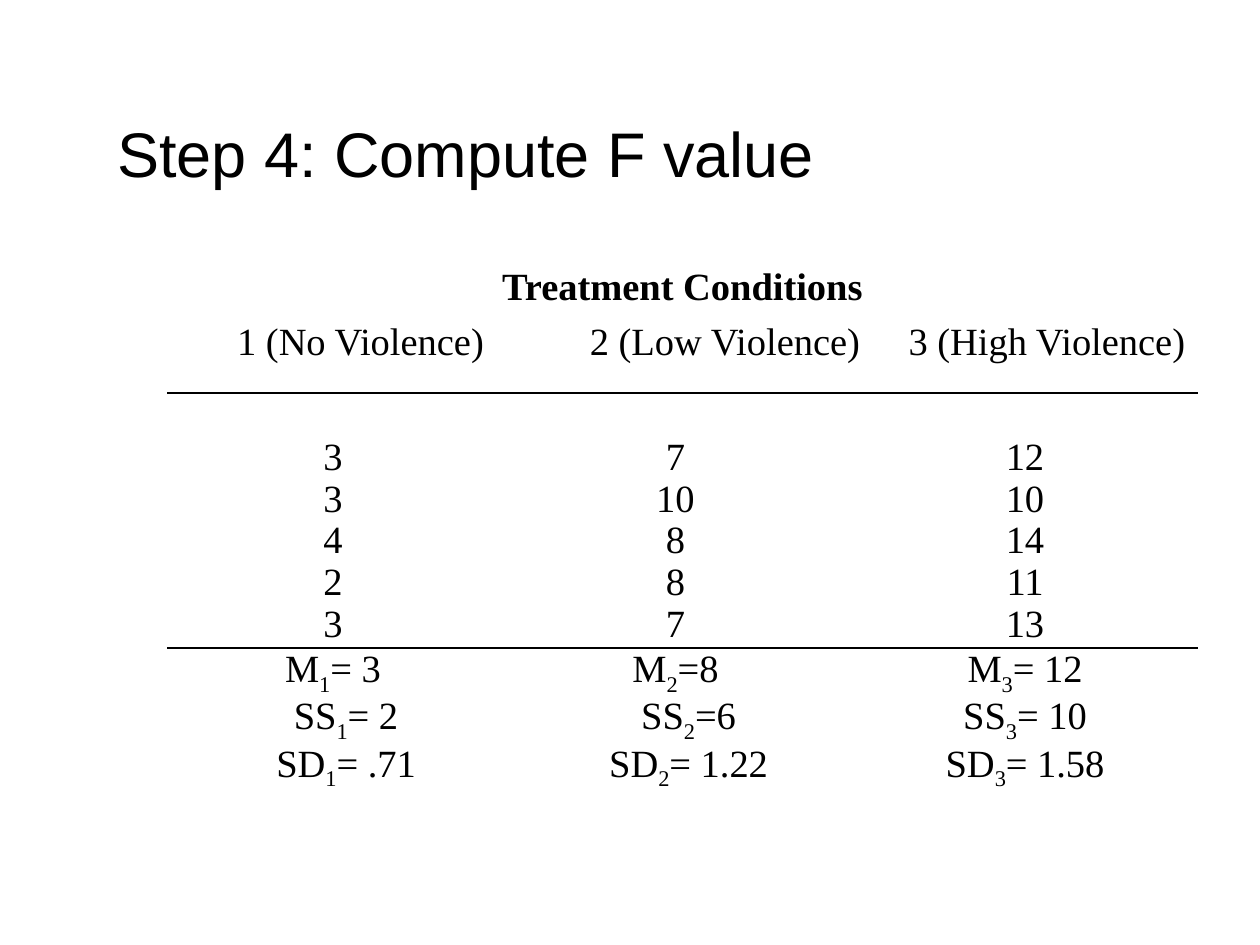
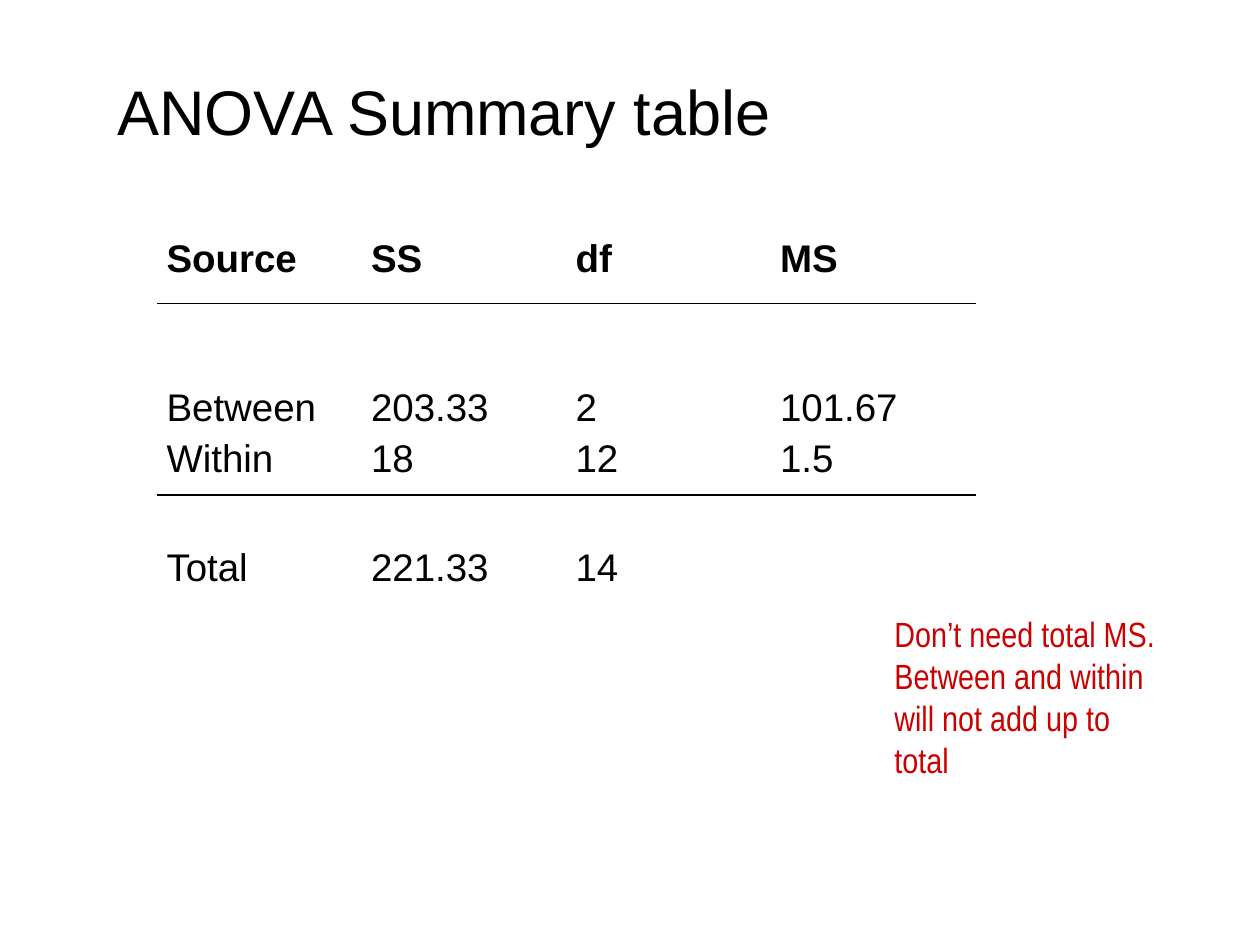
from pptx import Presentation
from pptx.dml.color import RGBColor
from pptx.enum.text import MSO_ANCHOR as Anchor, PP_ALIGN as Align
from pptx.oxml import parse_xml
from pptx.oxml.ns import nsdecls
from pptx.util import Pt

# Content: "|" encloses a subscript
CONDITIONS_TITLE = "Step 4: Compute F value"
HEADING = ["Treatment Conditions"]
CONDITIONS = ["1 (No Violence)", "2 (Low Violence)", "3 (High Violence)"]
SCORES = [
    ["3", "7", "12"],
    ["3", "10", "10"],
    ["4", "8", "14"],
    ["2", "8", "11"],
    ["3", "7", "13"],
]
MEANS = ["M|1|= 3", "M|2|=8", "M|3|= 12"]
SPREADS = [
    ["SS|1|= 2", "SS|2|=6", "SS|3|= 10"],
    ["SD|1|= .71", "SD|2|= 1.22", "SD|3|= 1.58"],
]

ANOVA_TITLE = "ANOVA Summary table"
ANOVA_ROWS = [
    ["Source", "SS", "df", "MS"],
    [""] * 4,
    ["Between", "203.33", "2", "101.67"],
    ["Within", "18", "12", "1.5"],
    [""] * 4,
    ["Total", "221.33", "14", ""],
]
NOTE = "Don’t need total MS. Between and within will not add up to total"

# Shared style
COLORS = {"text": "000000", "paper": "FFFFFF", "rule": "000000", "note": "CC0000"}
SANS, NARROW, SERIF = "Arial", "Arial Narrow", "Times New Roman"
CELL_SIZE = 22

# Layout of the conditions table: columns covered by each cell of a row
CONDITION_WIDTHS = [188.5, 15, 16.5, 171.5, 25, 171.5]
WHOLE, HEADER_SPANS, SCORE_SPANS, SPREAD_SPANS = [6], [3, 2, 1], [1, 3, 2], [2, 2, 2]
CONDITION_ROWS = (
    [(HEADING, WHOLE, 31.7), (CONDITIONS, HEADER_SPANS, 38.9), ([""] * 3, HEADER_SPANS, 26.9)]
    + [(scores, SCORE_SPANS, 21.9) for scores in SCORES]
    + [(MEANS, SCORE_SPANS, 25.1)]
    + [(spreads, SPREAD_SPANS, 25.1) for spreads in SPREADS]
)
ANOVA_HEIGHTS = [37.4, 47.5, 29.5, 32.4, 29.5, 29.5]


def style(font, name, size, color="text", bold=False):
    font.name, font.size, font.bold = name, Pt(size), bold
    font.color.rgb = RGBColor.from_string(COLORS[color])


def add_text(page, text, area, name, size, color="text", anchor=Anchor.TOP):
    box = page.shapes.add_textbox(*map(Pt, area))
    frame = box.text_frame
    frame.word_wrap, frame.vertical_anchor = True, anchor
    frame.text = text
    style(frame.paragraphs[0].runs[0].font, name, size, color)


def add_titled_page(deck, title, top):
    page = deck.slides.add_slide(deck.slide_layouts[6])
    add_text(page, title, (60, top, 612, 90), SANS, 36, anchor=Anchor.MIDDLE)
    return page


def add_rule(cell, side):
    line = parse_xml(
        f'<a:{side} {nsdecls("a")} w="12700"><a:solidFill>'
        f'<a:srgbClr val="{COLORS["rule"]}"/></a:solidFill></a:{side}>'
    )
    cell._tc.get_or_add_tcPr().insert(0, line)


def fill_cell(cell, text, name, bold, align, spacing):
    para = cell.text_frame.paragraphs[0]
    para.alignment, para.line_spacing = align, spacing
    for index, part in enumerate(text.split("|")):
        if not part:
            continue
        span = para.add_run()
        span.text = part
        style(span.font, name, CELL_SIZE, bold=bold)
        if index % 2:
            span._r.get_or_add_rPr().set("baseline", "-25000")


def add_grid(page, corner, widths, rows, ruled_rows, name, align, spacing):
    """Rows are (texts, spans, height); a rule runs under each ruled row."""
    heights = [height for _, _, height in rows]
    area = (*corner, sum(widths), sum(heights))
    table = page.shapes.add_table(len(rows), len(widths), *map(Pt, area)).table
    table.first_row = table.horz_banding = False
    for column, width in zip(table.columns, widths):
        column.width = Pt(width)

    for r, (texts, spans, height) in enumerate(rows):
        table.rows[r].height = Pt(height)
        for c in range(len(widths)):
            cell = table.cell(r, c)
            cell.margin_left = cell.margin_right = Pt(5.2)
            cell.margin_top = cell.margin_bottom = 0
            cell.fill.solid()
            cell.fill.fore_color.rgb = RGBColor.from_string(COLORS["paper"])
            if r in ruled_rows:
                add_rule(cell, "lnB")
            if r - 1 in ruled_rows:
                add_rule(cell, "lnT")
        start = 0
        for text, covered in zip(texts, spans):
            cell = table.cell(r, start)
            if covered > 1:
                cell.merge(table.cell(r, start + covered - 1))
            fill_cell(cell, text, name, r == 0, align, spacing)
            start += covered


def main():
    deck = Presentation()
    deck.slide_width, deck.slide_height = Pt(720), Pt(540)

    # Scores and statistics by condition
    page = add_titled_page(deck, CONDITIONS_TITLE, 42)
    last_score = 2 + len(SCORES)
    add_grid(page, (96, 154), CONDITION_WIDTHS, CONDITION_ROWS, {1, last_score},
             SERIF, Align.CENTER, 0.9)

    # ANOVA summary with a side note
    page = add_titled_page(deck, ANOVA_TITLE, 18)
    add_text(page, NOTE, (504, 346.5, 168, 103), NARROW, 20, "note")
    rows = [(texts, [1] * 4, height) for texts, height in zip(ANOVA_ROWS, ANOVA_HEIGHTS)]
    add_grid(page, (90, 136), [116.9] * 4, rows, {0, 3}, SANS, Align.LEFT, 1.0)

    deck.save("out.pptx")


if __name__ == "__main__":
    main()
